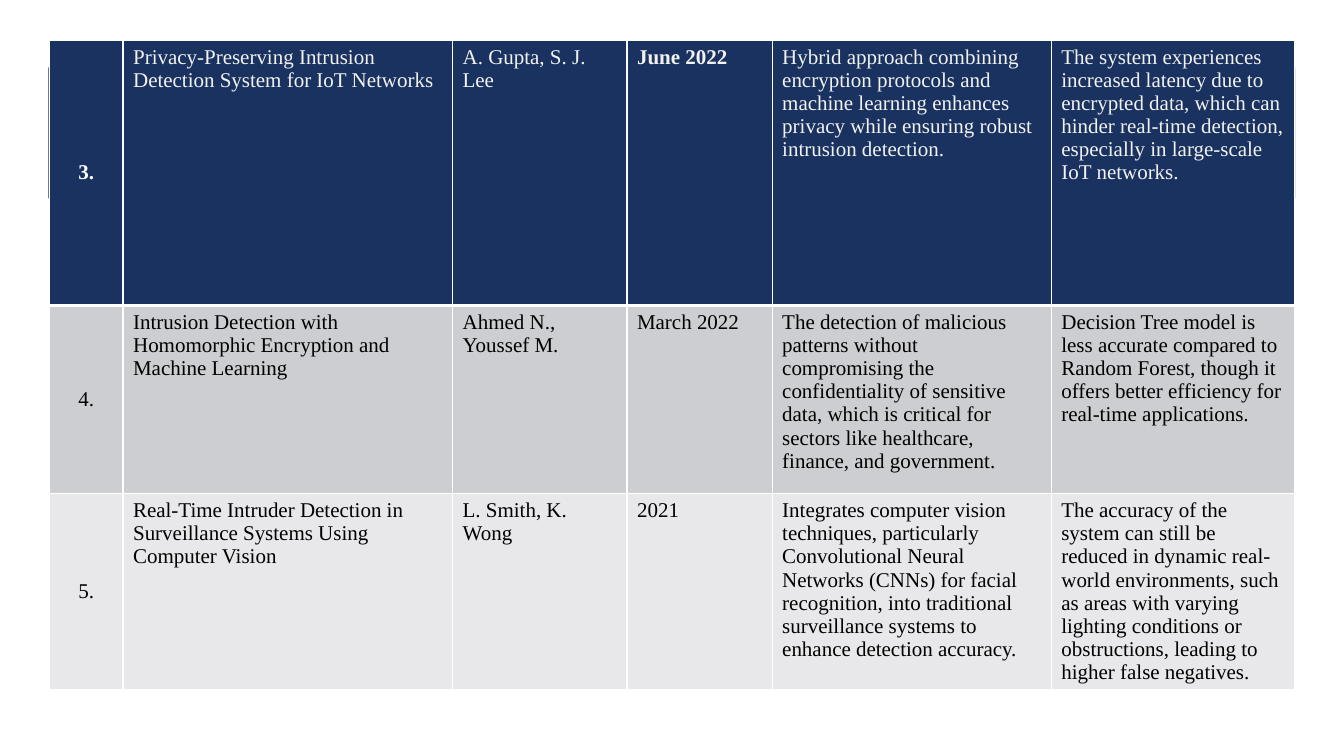
from dataclasses import dataclass

from lxml.etree import SubElement
from pptx import Presentation
from pptx.dml.color import RGBColor
from pptx.enum.shapes import MSO_SHAPE as Shape
from pptx.enum.text import MSO_ANCHOR as Anchor, PP_ALIGN as Align
from pptx.oxml import parse_xml
from pptx.oxml.ns import nsdecls, qn
from pptx.util import Pt


@dataclass(frozen=True)
class Theme:
    font: str = "Times New Roman"
    size: float = 15
    navy: str = "1A3260"
    gray: str = "969FA7"
    row_fills: tuple = ("1A3260", "CDCED2", "E8E8EA")
    white: str = "FFFFFF"
    off_white: str = "F2F2F2"
    black: str = "000000"
    thin: float = 1
    thick: float = 3


THEME = Theme()
COLUMN_WIDTHS = (52.6, 235.4, 124.6, 103.7, 199.4, 173.5)
ROW_HEIGHTS = (189.4, 134.6, 139)
PAPERS = (
    ("3.", "Privacy-Preserving Intrusion Detection System for IoT Networks",
     "A. Gupta, S. J. Lee", "June 2022",
     "Hybrid approach combining encryption protocols and machine learning "
     "enhances privacy while ensuring robust intrusion detection.",
     "The system experiences increased latency due to encrypted data, which can "
     "hinder real-time detection, especially in large-scale IoT networks."),
    ("4.", "Intrusion Detection with Homomorphic Encryption and Machine Learning",
     "Ahmed N., Youssef M.", "March 2022",
     "The detection of malicious patterns without compromising the confidentiality "
     "of sensitive data, which is critical for sectors like healthcare, finance, "
     "and government.",
     "Decision Tree model is less accurate compared to Random Forest, though it "
     "offers better efficiency for real-time applications."),
    ("5.", "Real-Time Intruder Detection in Surveillance Systems Using Computer Vision",
     "L. Smith, K. Wong", "2021",
     "Integrates computer vision techniques, particularly Convolutional Neural "
     "Networks (CNNs) for facial recognition, into traditional surveillance "
     "systems to enhance detection accuracy.",
     "The accuracy of the system can still be reduced in dynamic real-world "
     "environments, such as areas with varying lighting conditions or "
     "obstructions, leading to higher false negatives."),
)


def add_band(slide, left, top, width, height, color):
    band = slide.shapes.add_shape(
        Shape.RECTANGLE, Pt(left), Pt(top), Pt(width), Pt(height))
    band.shadow.inherit = False
    band.fill.solid()
    band.fill.fore_color.rgb = RGBColor.from_string(color)
    band.line.fill.background()


def add_backdrop(slide, left, top, width):
    bar_width = 291.6
    add_band(slide, left + width - bar_width - 0.5, top, bar_width, 7.9, THEME.gray)
    add_band(slide, left, top + 12.2, width, 93.6, THEME.navy)


def set_borders(cell, top, bottom):
    properties = cell._tc.get_or_add_tcPr()
    sides = (("lnL", THEME.thin), ("lnR", THEME.thin), ("lnT", top), ("lnB", bottom))
    for index, (side, width) in enumerate(sides):
        line = parse_xml(f'<a:{side} {nsdecls("a")} w="{Pt(width)}"/>')
        fill = SubElement(line, qn("a:solidFill"))
        SubElement(fill, qn("a:srgbClr"), val=THEME.white)
        properties.insert(index, line)


def fill_cell(cell, text, fill, color, bold, centered):
    cell.fill.solid()
    cell.fill.fore_color.rgb = RGBColor.from_string(fill)
    cell.vertical_anchor = Anchor.MIDDLE if centered else Anchor.TOP
    paragraph = cell.text_frame.paragraphs[0]
    paragraph.alignment = Align.CENTER if centered else Align.LEFT
    run = paragraph.add_run()
    run.text = text
    run.font.name = THEME.font
    run.font.size = Pt(THEME.size)
    run.font.bold = bold
    run.font.color.rgb = RGBColor.from_string(color)


def add_paper_table(slide, left, top):
    table = slide.shapes.add_table(
        len(PAPERS), len(COLUMN_WIDTHS), Pt(left), Pt(top),
        Pt(sum(COLUMN_WIDTHS)), Pt(sum(ROW_HEIGHTS))).table
    table.first_row = False
    table.horz_banding = False
    for column, width in zip(table.columns, COLUMN_WIDTHS):
        column.width = Pt(width)
    for row_index, paper in enumerate(PAPERS):
        table.rows[row_index].height = Pt(ROW_HEIGHTS[row_index])
        is_first = row_index == 0
        for column_index, text in enumerate(paper):
            cell = table.cell(row_index, column_index)
            is_number = column_index == 0
            light = THEME.white if is_number else THEME.off_white
            fill_cell(cell, text, THEME.row_fills[row_index],
                      light if is_first else THEME.black,
                      is_first and column_index in (0, 3), is_number)
            set_borders(cell, THEME.thick if row_index == 1 else THEME.thin,
                        THEME.thick if is_first else THEME.thin)


def main():
    presentation = Presentation()
    presentation.slide_width = Pt(960)
    presentation.slide_height = Pt(540)
    slide = presentation.slides.add_slide(presentation.slide_layouts[6])
    add_backdrop(slide, 34.6, 36, 890.6)
    add_paper_table(slide, 35.3, 28.8)
    presentation.save("out.pptx")


if __name__ == "__main__":
    main()
